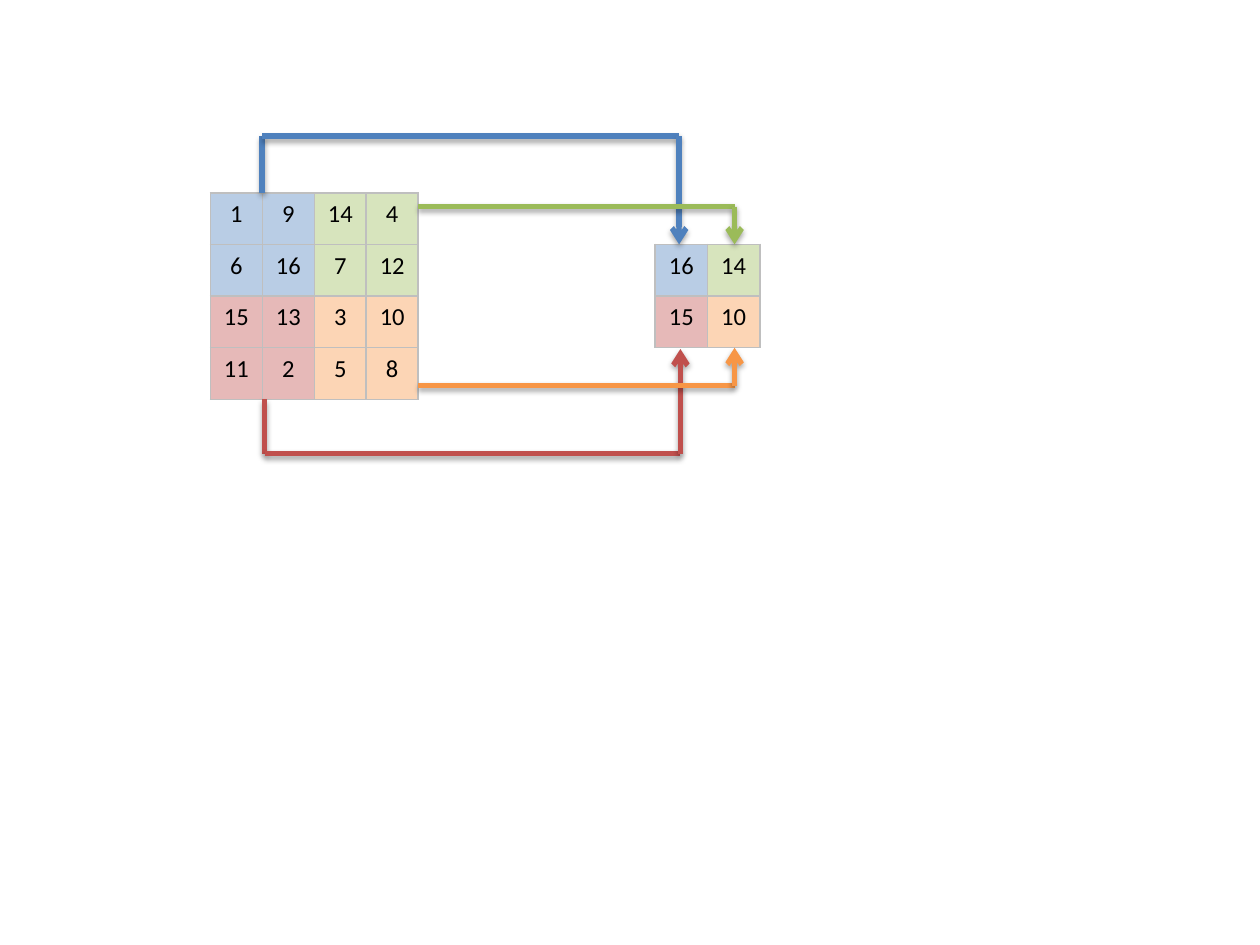
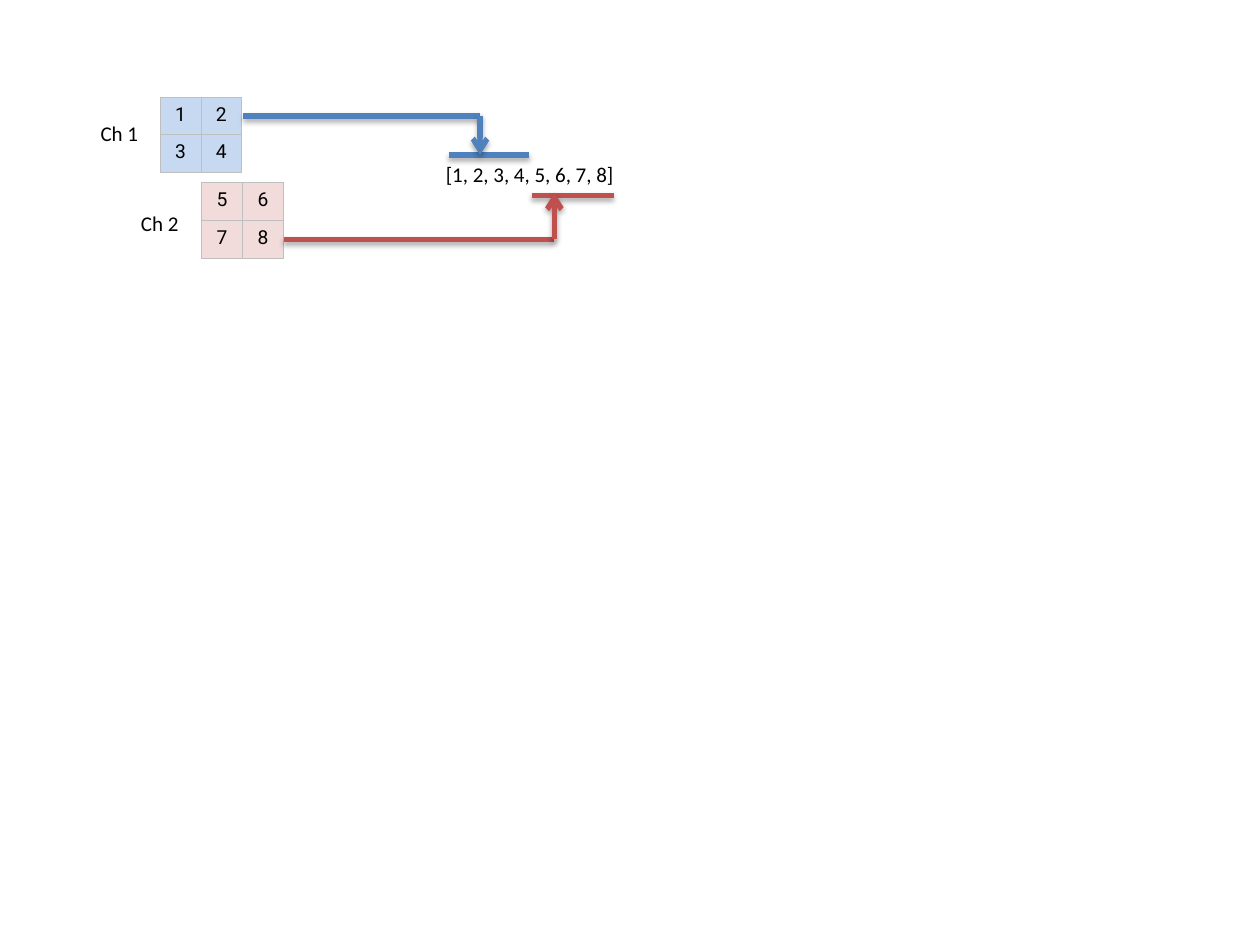
from itertools import pairwise

from lxml.etree import SubElement
from pptx import Presentation
from pptx.dml.color import RGBColor
from pptx.enum.shapes import MSO_CONNECTOR
from pptx.enum.text import MSO_AUTO_SIZE, PP_ALIGN
from pptx.oxml.ns import qn
from pptx.util import Inches, Pt

BLUE, RED, ORANGE, GREEN = "4F81BD", "C0504D", "F79646", "9BBB59"
QUADRANT_FILLS = [["B9CDE5", "D7E4BD"], ["E6B9B8", "FCD5B5"]]
BLACK, BORDER = "000000", "BFBFBF"


def rgb(value):
    """Turn a hex string into a colour."""
    return RGBColor.from_string(value)


def write(tf, text, size=12, font="Calibri", color=BLACK, align=PP_ALIGN.LEFT):
    """Write one formatted paragraph into a text frame."""
    p = tf.paragraphs[0]
    p.alignment = align
    r = p.add_run()
    r.text = text
    r.font.size, r.font.name = Pt(size), font
    r.font.color.rgb = rgb(color)


def add_xml(parent, tag, **attrs):
    """Append a DrawingML element with the given attributes."""
    return SubElement(parent, qn(f"a:{tag}"), {k: str(v) for k, v in attrs.items()})


class Deck:
    """Hold the shared style and the current slide."""

    def __init__(self):
        """Start an empty 4:3 presentation."""
        self.prs = Presentation()
        self.prs.slide_width, self.prs.slide_height = Inches(10), Inches(7.5)
        self.s = None

    def slide(self):
        """Add a blank slide and make it current."""
        self.s = self.prs.slides.add_slide(self.prs.slide_layouts[6])

    def grid(self, left, top, width, height, values, fills, border=1, size=14, font="Calibri"):
        """Add a matrix whose fills are spread evenly over its cells."""
        rows, cols = len(values), len(values[0])
        tbl = self.s.shapes.add_table(rows, cols, Inches(left), Inches(top),
                                      Inches(width), Inches(height)).table
        tbl.first_row = tbl.horz_banding = False
        for i, row in enumerate(values):
            for j, value in enumerate(row):
                cell = tbl.cell(i, j)
                self.borders(cell, border)
                cell.fill.solid()
                fill_row = fills[i * len(fills) // rows]
                cell.fill.fore_color.rgb = rgb(fill_row[j * len(fill_row) // cols])
                write(cell.text_frame, str(value), size=size, font=font, align=PP_ALIGN.CENTER)

    def borders(self, cell, width):
        """Outline a cell on its four sides."""
        tc_pr = cell._tc.get_or_add_tcPr()
        for side in "LRTB":
            ln = add_xml(tc_pr, f"ln{side}", w=Pt(width))
            add_xml(add_xml(ln, "solidFill"), "srgbClr", val=BORDER)

    def label(self, left, top, width, text):
        """Add an unwrapped line of text."""
        sp = self.s.shapes.add_textbox(Inches(left), Inches(top), Inches(width), Inches(0.3))
        tf = sp.text_frame
        tf.word_wrap = False
        tf.auto_size = MSO_AUTO_SIZE.SHAPE_TO_FIT_TEXT
        write(tf, text)

    def line(self, start, end, color, arrow=False):
        """Add a thick shadowed line, with an arrowhead at its end if asked."""
        cn = self.s.shapes.add_connector(MSO_CONNECTOR.STRAIGHT, *map(Inches, start + end))
        cn.line.width = Pt(3)
        cn.line.color.rgb = rgb(color)
        if arrow:
            add_xml(cn.line._get_or_add_ln(), "tailEnd", type="arrow")
        effects = add_xml(cn._element.spPr, "effectLst")
        shadow = add_xml(effects, "outerShdw", blurRad=Pt(3.1), dist=Pt(1.8),
                         dir=5400000, rotWithShape=0)
        add_xml(add_xml(shadow, "srgbClr", val=BLACK), "alpha", val=35000)

    def route(self, color, *points):
        """Join points by lines, the last one with an arrowhead."""
        for start, end in pairwise(points):
            self.line(start, end, color, arrow=end == points[-1])


def max_pooling(deck):
    """Show how each quadrant of a matrix pools to its maximum."""
    deck.slide()
    matrix = [[1, 9, 14, 4], [6, 16, 7, 12], [15, 13, 3, 10], [11, 2, 5, 8]]
    pooled = [[max(v for row in matrix[i:i + 2] for v in row[j:j + 2]) for j in (0, 2)]
              for i in (0, 2)]
    deck.grid(1.67, 1.53, 1.65, 1.64, matrix, QUADRANT_FILLS)
    deck.grid(5.2, 1.94, 0.83, 0.82, pooled, QUADRANT_FILLS)
    deck.route(BLUE, (2.08, 1.53), (2.08, 1.08), (5.39, 1.08), (5.39, 1.94))
    deck.route(RED, (2.1, 3.17), (2.1, 3.6), (5.4, 3.6), (5.4, 2.77))
    deck.route(ORANGE, (3.32, 3.06), (5.83, 3.06), (5.83, 2.76))
    deck.route(GREEN, (3.32, 1.64), (5.83, 1.64), (5.83, 1.94))


def flattening(deck):
    """Show how two channels flatten into one vector."""
    deck.slide()
    channels = [(1.27, 0.77, [[1, 2], [3, 4]], "C6D9F1"),
                (1.6, 1.45, [[5, 6], [7, 8]], "F2DCDB")]
    for left, top, values, fill in channels:
        deck.grid(left, top, 0.65, 0.6, values, [[fill]], border=0.5, size=11, font="Roboto")
    deck.label(0.7, 0.91, 0.5, "Ch 1")
    deck.label(1.02, 1.62, 0.5, "Ch 2")
    deck.label(3.44, 1.23, 1.54, "[1, 2, 3, 4, 5, 6, 7, 8]")
    deck.line((3.56, 1.23), (4.2, 1.23), BLUE)
    deck.line((4.22, 1.55), (4.87, 1.55), RED)
    deck.route(BLUE, (1.93, 0.92), (3.81, 0.92), (3.81, 1.23))
    deck.route(RED, (2.25, 1.9), (4.4, 1.9), (4.4, 1.53))


def main():
    """Build and save the slides."""
    deck = Deck()
    max_pooling(deck)
    flattening(deck)
    deck.prs.save("out.pptx")


if __name__ == "__main__":
    main()
